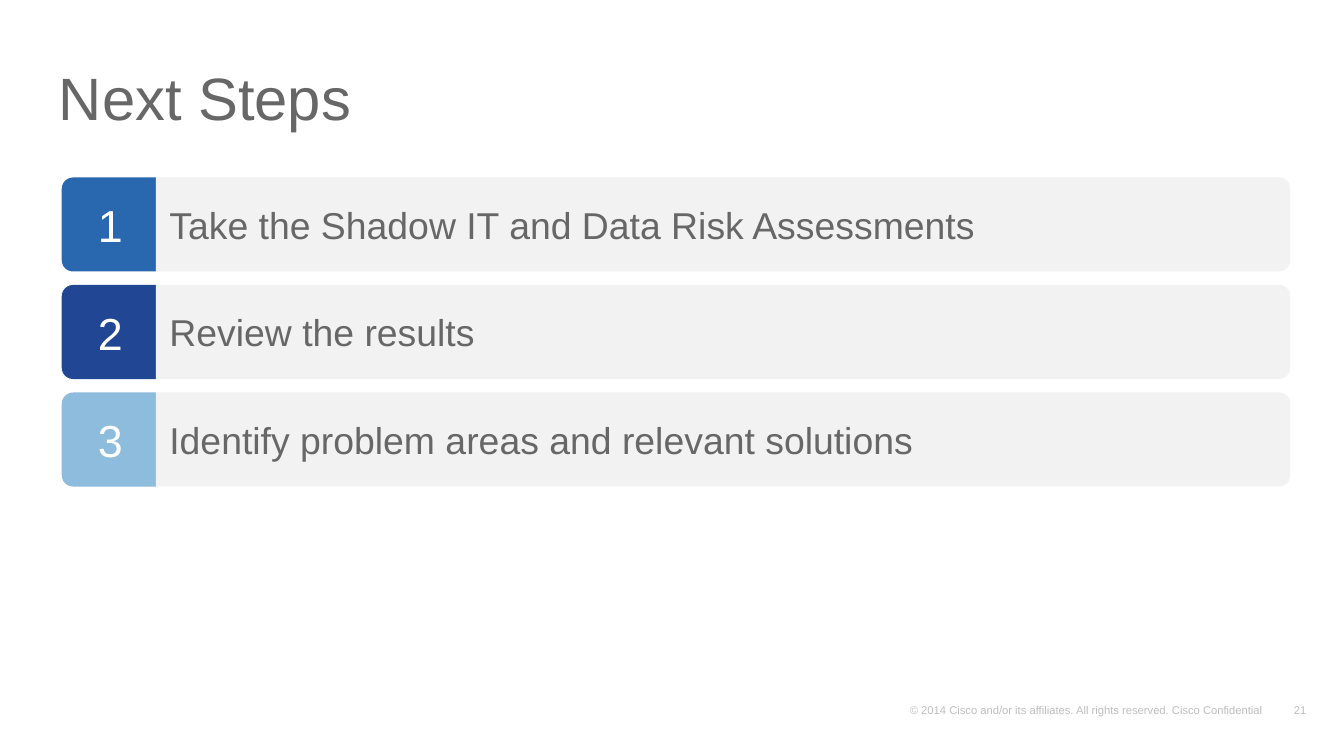
import pptx
import pptx.dml.color
import pptx.enum.shapes
import pptx.enum.text
import pptx.oxml
import pptx.oxml.ns
import pptx.util

Inches = pptx.util.Inches
Anchor = pptx.enum.text.MSO_ANCHOR
Align = pptx.enum.text.PP_ALIGN


def color(hex_string):
    return pptx.dml.color.RGBColor.from_string(hex_string)


def write_text(shape, text, size, fill, align=Align.LEFT, anchor=Anchor.MIDDLE,
               insets=(0.1, 0.05, 0.1, 0.05), wrap=True, line_spacing=None,
               direction=None, opacity=None):
    frame = shape.text_frame
    frame.word_wrap = wrap
    frame.vertical_anchor = anchor
    frame.margin_left, frame.margin_top, frame.margin_right, frame.margin_bottom = map(Inches, insets)
    if direction:
        shape.element.txBody.bodyPr.set("vert", direction)
    paragraph = frame.paragraphs[0]
    paragraph.alignment = align
    if line_spacing:
        paragraph.line_spacing = line_spacing
    run = paragraph.add_run()
    run.text = text
    run.font.name = "Arial"
    run.font.size = pptx.util.Pt(size)
    run.font.color.rgb = color(fill)
    if opacity:
        alpha = pptx.oxml.parse_xml(
            f'<a:alpha {pptx.oxml.ns.nsdecls("a")} val="{opacity * 1000}"/>')
        shape.element.txBody.find(".//" + pptx.oxml.ns.qn("a:srgbClr")).append(alpha)


class StepsSlide:
    gray = "676767"
    white = "FFFFFF"
    bar_fill = "F2F2F2"
    left = 0.46
    right = 9.6
    row_height = 0.7

    def __init__(self, presentation):
        self.slide = presentation.slides.add_slide(presentation.slide_layouts[6])

    def text_box(self, text, left, top, width, height, **style):
        box = self.slide.shapes.add_textbox(*map(Inches, (left, top, width, height)))
        write_text(box, text, **style)

    def footer(self, text, left, width, **style):
        self.text_box(text, left, 5.19, width, 0.17, size=6, fill="000000", opacity=25,
                      anchor=Anchor.BOTTOM, insets=(0.07, 0.03, 0.07, 0.03), **style)

    def turned_tab(self, left, top, width, rotation, fill):
        height = self.row_height
        offset = (width - height) / 2
        shape = self.slide.shapes.add_shape(
            pptx.enum.shapes.MSO_SHAPE.ROUND_2_SAME_RECTANGLE,
            *map(Inches, (left + offset, top - offset, height, width)))
        shape.rotation = rotation
        shape.adjustments[0] = 0.12
        shape.adjustments[1] = 0
        shape.shadow.inherit = False
        shape.fill.solid()
        shape.fill.fore_color.rgb = color(fill)
        shape.line.fill.background()
        return shape

    def step(self, number, text, top, fill):
        tab = self.turned_tab(self.left, top, self.row_height, 270, fill)
        write_text(tab, str(number), size=24, fill=self.white, align=Align.CENTER, direction="vert")
        bar_left = self.left + self.row_height
        bar = self.turned_tab(bar_left, top, self.right - bar_left, 90, self.bar_fill)
        write_text(bar, text, size=20, fill=self.gray, direction="vert270",
                   insets=(0.1, 0.05, 0.1, 0.1))


def main():
    presentation = pptx.Presentation()
    presentation.slide_width = Inches(10)
    presentation.slide_height = Inches(10 * 9 / 16)
    page = StepsSlide(presentation)
    page.footer("21", 9.55, 0.24, align=Align.RIGHT, wrap=False)
    page.footer("© 2014 Cisco and/or its affiliates. All rights reserved. Cisco Confidential", 6.7, 2.91)
    page.text_box("Next Steps", 0.34, 0.37, 9.26, 0.8, size=32, fill=page.gray, line_spacing=0.8)
    steps = [
        ("Take the Shadow IT and Data Risk Assessments", "2968AF"),
        ("Review the results", "214794"),
        ("Identify problem areas and relevant solutions", "8EBCDC"),
    ]
    for index, (text, fill) in enumerate(steps):
        page.step(index + 1, text, 1.32 + 0.8 * index, fill)
    presentation.save("out.pptx")


if __name__ == "__main__":
    main()
